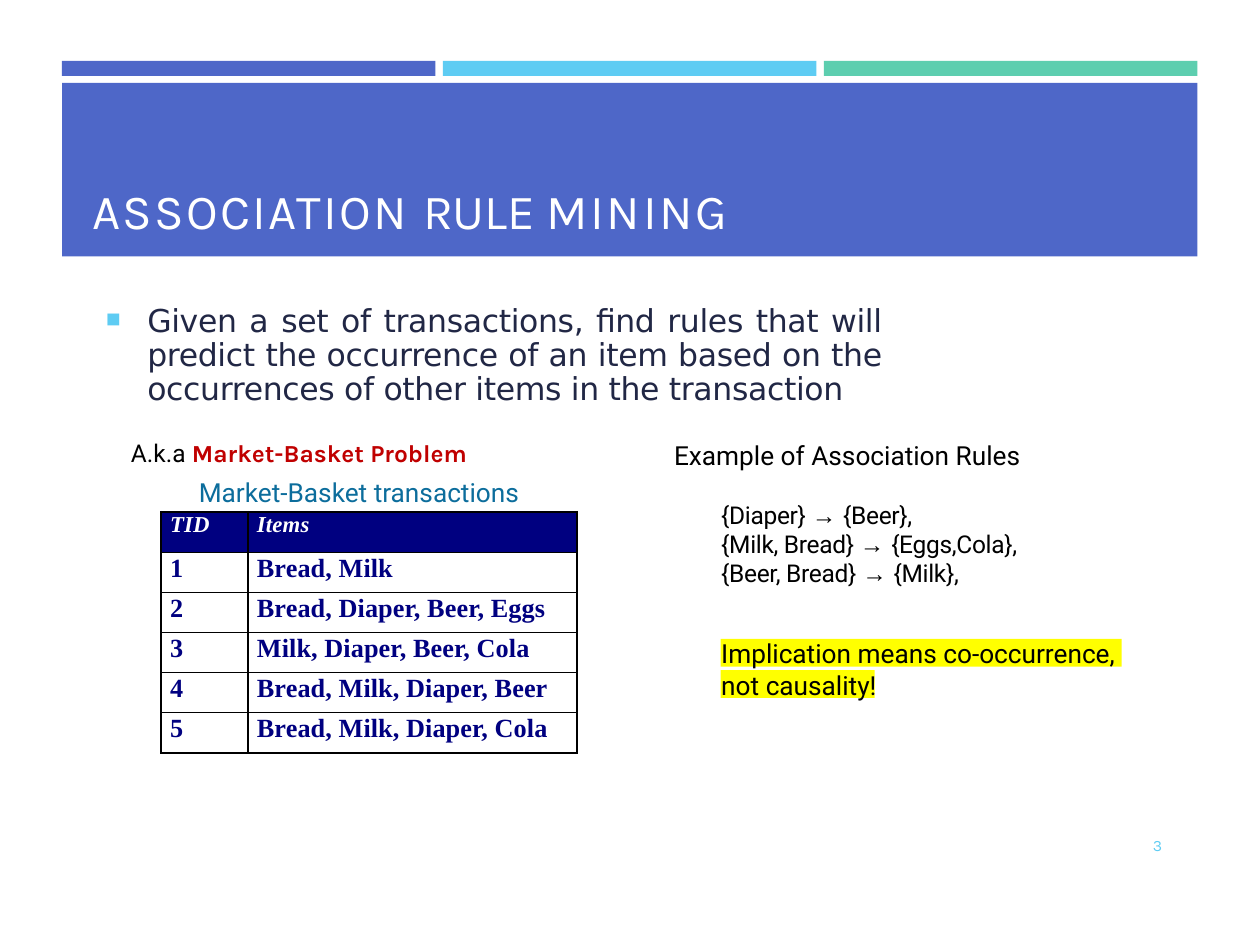
from pptx import Presentation
from pptx.dml.color import RGBColor
from pptx.enum.shapes import MSO_SHAPE
from pptx.enum.text import MSO_ANCHOR, MSO_AUTO_SIZE, PP_ALIGN
from pptx.oxml import parse_xml
from pptx.oxml.ns import nsdecls
from pptx.util import Cm, Pt

RECT = MSO_SHAPE.RECTANGLE
BOTTOM = MSO_ANCHOR.BOTTOM
FIXED = MSO_AUTO_SIZE.NONE
LEFT, JUSTIFY = PP_ALIGN.LEFT, PP_ALIGN.JUSTIFY

BLUE = RGBColor(0x4E, 0x67, 0xC8)
SKY = RGBColor(0x5E, 0xCC, 0xF3)
GREEN = RGBColor(0x5D, 0xCE, 0xAF)
WHITE = RGBColor(0xFF, 0xFF, 0xFF)
BLACK = RGBColor(0, 0, 0)
INK = RGBColor(0x21, 0x27, 0x45)
RED = RGBColor(0xC0, 0, 0)
TEAL = RGBColor(0x0C, 0x6D, 0x9C)
NAVY = RGBColor(0, 0, 0x80)
YELLOW = RGBColor(0xFF, 0xFF, 0)

ROWS = [
    ("TID", "Items"),
    ("1", "Bread, Milk"),
    ("2", "Bread, Diaper, Beer, Eggs"),
    ("3", "Milk, Diaper, Beer, Cola"),
    ("4", "Bread, Milk, Diaper, Beer"),
    ("5", "Bread, Milk, Diaper, Cola"),
]
RULES = [
    ("{Diaper} ", "{Beer},"),
    ("{Milk, Bread} ", "{Eggs,Cola},"),
    ("{Beer, Bread} ", "{Milk},"),
]


def style(font, face=None, size=None, tone=None, bold=None, track=None):
    """Set the given properties of a font, with tracking in points."""
    if face:
        font.name = face
    if size:
        font.size = Pt(size)
    if tone is not None:
        font.color.rgb = tone
    if bold is not None:
        font.bold = bold
    if track is not None:
        font._rPr.set("spc", str(round(track * 100)))


def add_run(par, text, **look):
    """Add a run with its own look to a paragraph."""
    run = par.add_run()
    run.text = text
    style(run.font, **look)


def add_box(slide, left, top, width, height, inset=0.0):
    """Add a wrapping text box without side margins and return its frame."""
    box = slide.shapes.add_textbox(Cm(left), Cm(top), Cm(width), Cm(height))
    frame = box.text_frame
    frame.word_wrap = True
    frame.margin_left = frame.margin_right = frame.margin_bottom = 0
    frame.margin_top = Cm(inset)
    return frame


def add_bars(slide):
    """Draw the three coloured bars above the title."""
    for i, tone in enumerate((BLUE, SKY, GREEN)):
        bar = slide.shapes.add_shape(
            RECT, Cm(1.25 + 7.68 * i), Cm(1.23), Cm(7.53), Cm(0.3))
        bar.shadow.inherit = False
        bar.fill.solid()
        bar.fill.fore_color.rgb = tone
        bar.line.fill.background()


def set_title(slide):
    """Place and fill the title band."""
    title = slide.shapes.title
    title.left, title.top = Cm(1.25), Cm(1.67)
    title.width, title.height = Cm(22.89), Cm(3.5)
    title.fill.solid()
    title.fill.fore_color.rgb = BLUE
    frame = title.text_frame
    frame.auto_size = FIXED
    frame.vertical_anchor = BOTTOM
    frame.margin_left, frame.margin_bottom = Cm(0.61), Cm(0.34)
    par = frame.paragraphs[0]
    par.alignment = LEFT
    style(par.font, "Karla", 28, WHITE)
    for word, track in (("ASSOCIATION ", 1.3), ("RULE ", -0.1), ("MINING", 1.6)):
        add_run(par, word, track=track)


def add_point(slide):
    """Add the bulleted, justified statement."""
    par = add_box(slide, 2.08, 6.05, 15.7, 2.21, 0.1).paragraphs[0]
    par.alignment = JUSTIFY
    par.line_spacing = 0.9
    props = par._p.get_or_add_pPr()
    props.set("marL", str(Cm(0.89)))
    props.set("indent", str(-Cm(0.84)))
    for tag in (f'<a:buClr {nsdecls("a")}><a:srgbClr val="{SKY}"/></a:buClr>',
                f'<a:buSzPct {nsdecls("a")} val="68000"/>',
                f'<a:buChar {nsdecls("a")} char="◾"/>'):
        props.append(parse_xml(tag))
    style(par.font, "DejaVu Sans", 18, INK, track=-0.2)
    par.add_run().text = (
        "Given a set of transactions, find rules that will predict the "
        "occurrence of an item based on the occurrences of other items "
        "in the transaction")


def add_heads(slide):
    """Add the two lines above the table and the heading of the rules."""
    frame = add_box(slide, 2.64, 8.64, 7.85, 1.65, 0.2)
    par = frame.paragraphs[0]
    style(par.font, size=14)
    add_run(par, "A.k.a ", face="Roboto", tone=BLACK)
    add_run(par, "Market-Basket Problem", face="Karla", tone=RED, bold=True)
    par = frame.add_paragraph()
    par.space_before = Pt(5)
    par._p.get_or_add_pPr().set("marL", str(Cm(1.37)))
    style(par.font, "Roboto", 15, TEAL)
    par.add_run().text = "Market-Basket transactions"
    par = add_box(slide, 13.59, 8.81, 7.06, 0.71, 0.05).paragraphs[0]
    style(par.font, "Roboto", 15, BLACK)
    par.add_run().text = "Example of Association Rules"


def set_edges(cell, widths):
    """Draw the left, right, top and bottom borders of a cell."""
    props = cell._tc.get_or_add_tcPr()
    for side, width in zip("LRTB", widths):
        props.append(parse_xml(
            f'<a:ln{side} {nsdecls("a")} w="{Pt(width)}"><a:solidFill>'
            f'<a:srgbClr val="{BLACK}"/></a:solidFill></a:ln{side}>'))


def add_grid(slide):
    """Add the table of transactions."""
    last = len(ROWS) - 1
    grid = slide.shapes.add_table(
        len(ROWS), 2, Cm(3.25), Cm(10.32), Cm(8.38), Cm(4.86)).table
    grid.first_row = grid.horz_banding = False
    grid.columns[0].width, grid.columns[1].width = Cm(1.75), Cm(6.63)
    for r, row in enumerate(ROWS):
        grid.rows[r].height = Cm(0.81)
        for c, text in enumerate(row):
            cell = grid.cell(r, c)
            cell.margin_left = Cm(0.18)
            cell.margin_right = cell.margin_top = cell.margin_bottom = 0
            outer = (c == 0, c == 1, r == 0, r == last)
            set_edges(cell, [1.5 if edge else 0.75 for edge in outer])
            par = cell.text_frame.paragraphs[0]
            if r == 0:
                cell.fill.solid()
                cell.fill.fore_color.rgb = NAVY
                style(par.font, "Times New Roman", 13, WHITE, True, 0.1)
                par.font.italic = True
            else:
                cell.fill.background()
                par.line_spacing = Pt(17.5)
                style(par.font, "Times New Roman", 15, NAVY, True, 0.05)
            par.add_run().text = text


def add_mark(slide):
    """Draw the two-line yellow highlight as one outline."""
    left, mid, right = 14.53, 17.63, 22.61
    pen = None
    for end, top in ((right, 12.88), (mid, 13.51)):
        low = top + 0.56
        spots = [(Cm(x), Cm(y)) for x, y in ((end, top), (end, low), (left, low))]
        if pen is None:
            pen = slide.shapes.build_freeform(Cm(left), Cm(top))
        else:
            pen.move_to(Cm(left), Cm(top))
        pen.add_line_segments(spots)
    mark = pen.convert_to_shape()
    mark.shadow.inherit = False
    mark.fill.solid()
    mark.fill.fore_color.rgb = YELLOW
    mark.line.fill.background()


def add_rules(slide):
    """Add the example rules and the remark below them."""
    frame = add_box(slide, 14.54, 10.06, 8.0, 4.06, 0.04)
    for i, (cause, result) in enumerate(RULES):
        par = frame.add_paragraph() if i else frame.paragraphs[0]
        par.line_spacing = Pt(16.4)
        style(par.font, size=14, tone=BLACK)
        add_run(par, cause, face="Roboto", track=-0.2)
        add_run(par, "→ ", face="Arial")
        add_run(par, result, face="Roboto", track=-0.2)
    par = frame.add_paragraph()
    par.space_before = Pt(29)
    style(par.font, "Roboto", 15, BLACK)
    par.add_run().text = "Implication means co-occurrence, not causality!"


def add_page(slide):
    """Add the page number."""
    par = add_box(slide, 23.24, 16.84, 0.43, 0.43).paragraphs[0]
    style(par.font, "Karla", 9, SKY)
    par.add_run().text = "3"


def main():
    """Build the slide and save it."""
    deck = Presentation()
    deck.slide_width, deck.slide_height = Cm(25.4), Cm(19.05)
    slide = deck.slides.add_slide(deck.slide_layouts[5])
    for build in (add_bars, set_title, add_point, add_heads, add_grid,
                  add_mark, add_rules, add_page):
        build(slide)
    deck.save("out.pptx")


if __name__ == "__main__":
    main()
